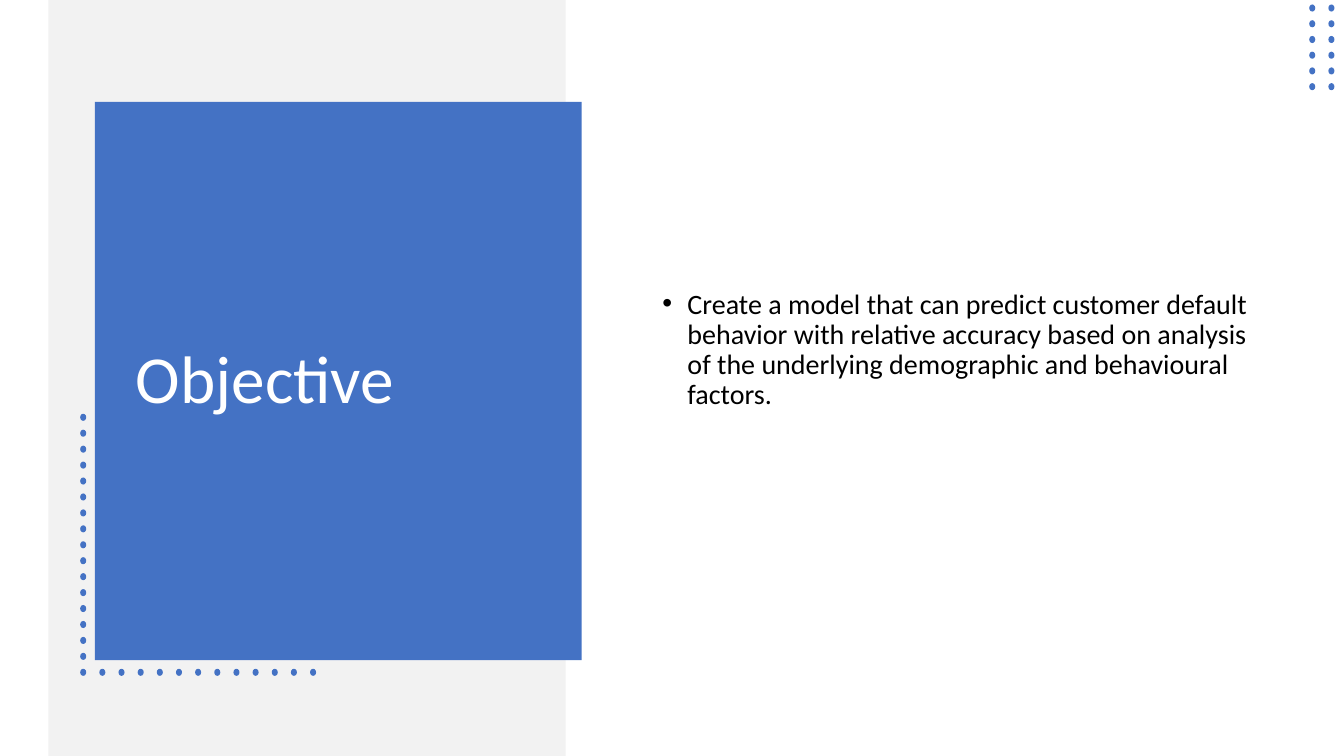
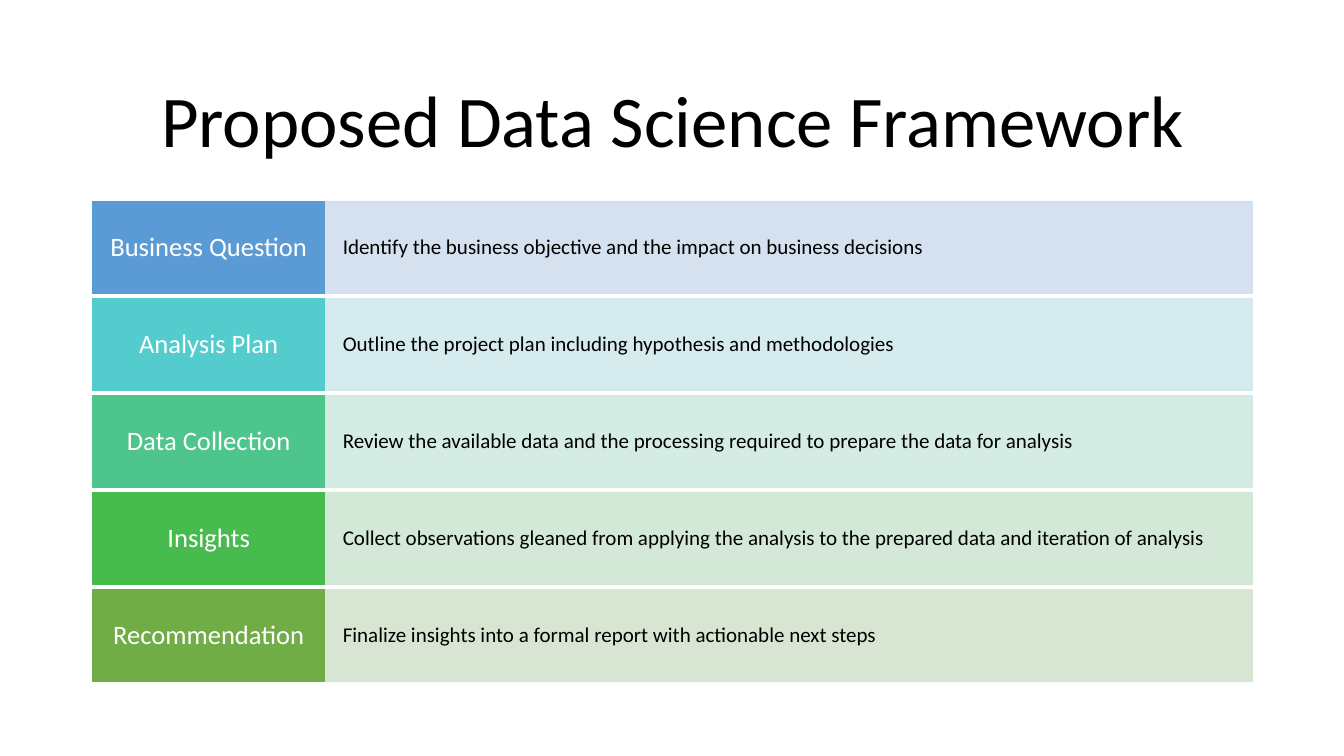
import pptx
import pptx.util
import pptx.dml.color
import pptx.enum.shapes
import pptx.enum.text
import pptx.oxml.ns
import lxml.etree

Inches = pptx.util.Inches
Pt = pptx.util.Pt
ALIGN = pptx.enum.text.PP_ALIGN
SHAPE = pptx.enum.shapes.MSO_SHAPE
FONT = "Calibri"
COLORS = {"accent": "4472C4", "band": "F2F2F2", "white": "FFFFFF", "black": "000000"}
STEPS = [
    ("Business Question", "5B9BD5", "D2DEEF",
     "Identify the business objective and the impact on business decisions"),
    ("Analysis Plan", "54CCCD", "D1E9ED",
     "Outline the project plan including hypothesis and methodologies"),
    ("Data Collection", "4DC58D", "D0EAE1",
     "Review the available data and the processing required to prepare the data for analysis"),
    ("Insights", "48BB4F", "D0E6D4",
     "Collect observations gleaned from applying the analysis to the prepared data and iteration of analysis"),
    ("Recommendation", "70AD47", "D5E3CF",
     "Finalize insights into a formal report with actionable next steps"),
]


def rgb(color):
    """Return the colour object for a hex string."""
    return pptx.dml.color.RGBColor.from_string(color)


def add_child(parent, tag, **attrs):
    """Append a drawing element with the given attributes."""
    return lxml.etree.SubElement(parent, pptx.oxml.ns.qn(tag), **attrs)


def add_filled(shapes, kind, box, color, outlined=False, alpha=None):
    """Add a flat preset shape, with an optional 1 pt outline and transparency."""
    sp = shapes.add_shape(kind, *map(Inches, box))
    sp.shadow.inherit = False
    sp.fill.solid()
    sp.fill.fore_color.rgb = rgb(color)
    if outlined:
        sp.line.color.rgb = rgb(color)
        sp.line.width = Pt(1)
    else:
        sp.line.fill.background()
    if alpha:
        for clr in sp._element.spPr.iter(pptx.oxml.ns.qn("a:srgbClr")):
            add_child(clr, "a:alpha", val=str(alpha * 1000))
    return sp


def set_text(sp, text, size, color, align=ALIGN.LEFT, insets=(0.1, 0.05)):
    """Write one vertically centred paragraph and return it."""
    tf = sp.text_frame
    tf.text = text
    tf.word_wrap = True
    tf.vertical_anchor = pptx.enum.text.MSO_ANCHOR.MIDDLE
    tf.margin_left = tf.margin_right = Inches(insets[0])
    tf.margin_top = tf.margin_bottom = Inches(insets[1])
    p = tf.paragraphs[0]
    p.alignment = align
    p.line_spacing = 0.9
    font = p.runs[0].font
    font.name = FONT
    font.size = Pt(size)
    font.color.rgb = rgb(color)
    return p


def add_text(s, box, text, size, color, align=ALIGN.LEFT):
    """Add a text box and return its paragraph."""
    return set_text(s.shapes.add_textbox(*map(Inches, box)), text, size, color, align)


def add_dots(s, points):
    """Add a group of small accent dots at the given corners."""
    group = s.shapes.add_group_shape()
    for left, top in points:
        sp = add_filled(group.shapes, SHAPE.OVAL, (left, top, 0.07, 0.06), COLORS["accent"])
        sp.rotation = 90


def add_title_panel(s, box, title):
    """Add the accent panel with its title and the dotted corner at lower left."""
    left, top, width, height = box
    add_filled(s.shapes, SHAPE.RECTANGLE, box, COLORS["accent"])
    x, y = left - 0.15, top + height + 0.09
    column = [(x, y - 2.53 * i / 16) for i in range(17)]
    row = [(x + 0.19 * i, y) for i in range(1, 13)]
    add_dots(s, column + row)
    add_text(s, (left + 0.31, top + 0.44, width - 0.69, height - 0.86),
             title, 48, COLORS["white"])


def add_bullet(s, box, text):
    """Add a bulleted statement with a hanging indent."""
    p = add_text(s, box, text, 20, COLORS["black"])
    p.space_before = Pt(10)
    pPr = p._p.get_or_add_pPr()
    pPr.set("marL", str(Inches(0.25)))
    pPr.set("indent", str(-Inches(0.25)))
    add_child(pPr, "a:buFont", typeface="Arial")
    add_child(pPr, "a:buChar", char="•")


def add_step(s, box, label, color, tint, text):
    """Add one framework row: a coloured label and a tinted description."""
    left, top, width, height = box
    label_width = width / 5
    body = add_filled(s.shapes, SHAPE.RECTANGLE,
                      (left + label_width, top, width - label_width, height), tint, True, 90)
    set_text(body, text, 15, COLORS["black"], insets=(0.18, 0.23))
    head = add_filled(s.shapes, SHAPE.RECTANGLE, (left, top, label_width, height), color, True)
    set_text(head, label, 19, COLORS["white"], ALIGN.CENTER, (0.12, 0.09))


def build_objective(s):
    """Build the objective slide."""
    add_filled(s.shapes, SHAPE.RECTANGLE, (0.48, 0, 5.13, 7.5), COLORS["band"])
    add_title_panel(s, (0.94, 1.01, 4.83, 5.54), "Objective")
    add_dots(s, [(x, 0.05 + 0.78 * i / 5) for i in range(6) for x in (12.98, 13.17)])
    add_bullet(s, (6.47, 1.3, 6.08, 4.35),
               "Create a model that can predict customer default behavior with relative "
               "accuracy based on analysis of the underlying demographic and behavioural factors.")


def build_framework(s):
    """Build the framework slide."""
    add_text(s, (0.92, 0.61, 11.5, 1.24), "Proposed Data Science Framework",
             52, COLORS["black"], ALIGN.CENTER)
    pitch = 3.85 / 4
    for i, step in enumerate(STEPS):
        add_step(s, (0.92, 2 + pitch * i, 11.5, 0.91), *step)


def main():
    """Build and save the presentation."""
    prs = pptx.Presentation()
    prs.slide_width, prs.slide_height = Inches(13.33), Inches(7.5)
    for build in (build_objective, build_framework):
        build(prs.slides.add_slide(prs.slide_layouts[6]))
    prs.save("out.pptx")


if __name__ == "__main__":
    main()
